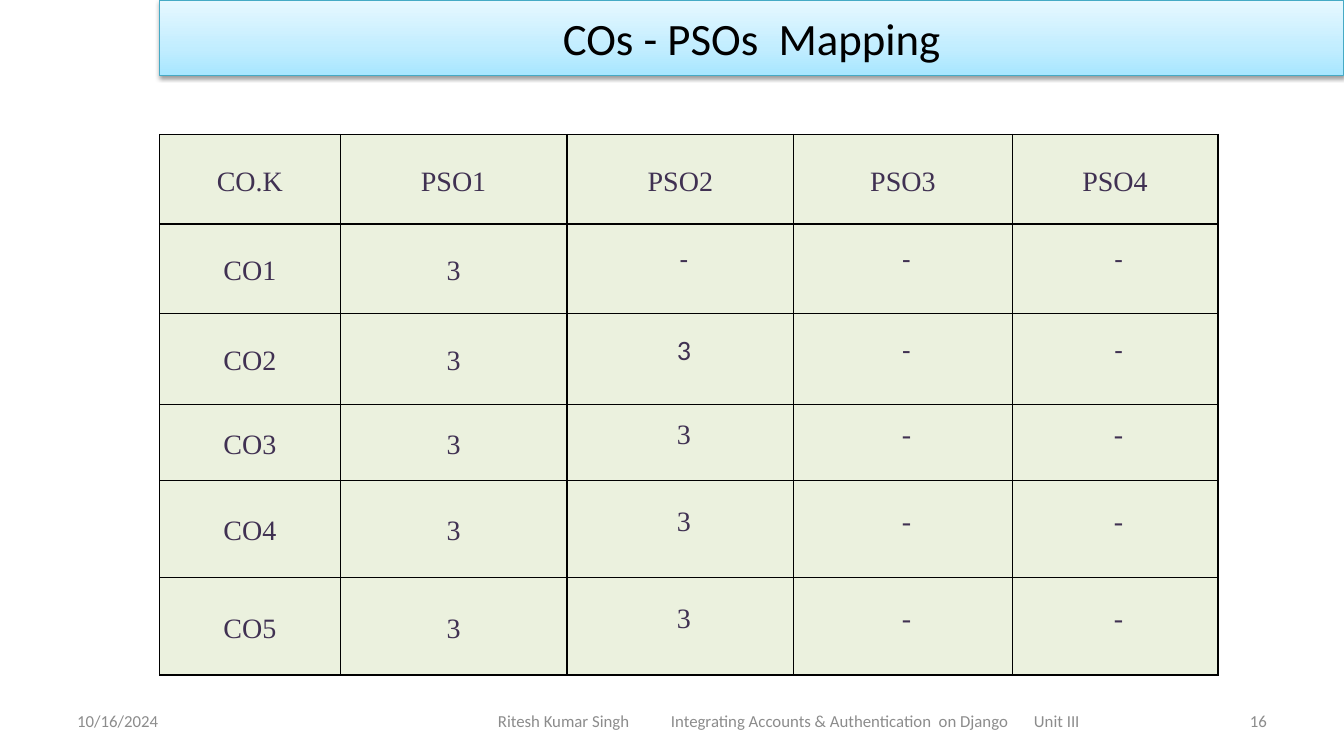
from pptx import Presentation
from pptx.dml.color import RGBColor
from pptx.enum.shapes import MSO_SHAPE as Shape
from pptx.enum.text import MSO_ANCHOR as Anchor, PP_ALIGN as Align
from pptx.oxml import parse_xml
from pptx.oxml.ns import nsdecls
from pptx.util import Pt

BLACK = RGBColor(0x00, 0x00, 0x00)
GREY = RGBColor(0x8C, 0x8C, 0x8C)
PLUM = RGBColor(0x40, 0x31, 0x52)
SAGE = RGBColor(0xEB, 0xF1, 0xDE)
TEAL = RGBColor(0x46, 0xAA, 0xC5)
SKY = ((0, RGBColor(0xA7, 0xE6, 0xFF)),
       (35, RGBColor(0xC1, 0xED, 0xFF)),
       (100, RGBColor(0xE7, 0xF8, 0xFF)))
SANS = "Calibri"
SERIF = "Times New Roman"
NS = nsdecls("a")


class Page:
    def __init__(self, deck):
        self.slide = deck.slides.add_slide(deck.slide_layouts[6])
        self.edge = 1
        self.pad = 5
        self.size = 20

    def add_run(self, para, text, font, size, color):
        run = para.add_run()
        run.text = text
        run.font.name = font
        run.font.size = Pt(size)
        run.font.color.rgb = color

    def note(self, box, text, align, inset=7.2, tabs=()):
        frame = self.slide.shapes.add_textbox(*map(Pt, box)).text_frame
        frame.word_wrap = True
        frame.vertical_anchor = Anchor.MIDDLE
        frame.margin_left = Pt(inset)
        para = frame.paragraphs[0]
        para.alignment = align
        if tabs:
            stops = "".join(f'<a:tab pos="{Pt(tab)}" algn="l"/>' for tab in tabs)
            para._p.get_or_add_pPr().append(
                parse_xml(f"<a:tabLst {NS}>{stops}</a:tabLst>"))
        self.add_run(para, text, SANS, 12, GREY)

    def banner(self, box, text):
        shape = self.slide.shapes.add_shape(Shape.RECTANGLE, *map(Pt, box))
        shape.line.color.rgb = TEAL
        shape.line.width = Pt(0.75)
        stops = "".join(
            f'<a:gs pos="{place * 1000}"><a:srgbClr val="{color}"/></a:gs>'
            for place, color in SKY)
        line = shape.line._ln
        line.addprevious(parse_xml(
            f'<a:gradFill {NS} rotWithShape="1"><a:gsLst>{stops}</a:gsLst>'
            '<a:lin ang="16200000" scaled="0"/></a:gradFill>'))
        line.addnext(parse_xml(
            f'<a:effectLst {NS}><a:outerShdw blurRad="{Pt(3.1)}" '
            f'dist="{Pt(1.6)}" dir="5400000" rotWithShape="0">'
            f'<a:srgbClr val="{BLACK}"><a:alpha val="38000"/></a:srgbClr>'
            '</a:outerShdw></a:effectLst>'))
        frame = shape.text_frame
        frame.word_wrap = True
        frame.vertical_anchor = Anchor.MIDDLE
        para = frame.paragraphs[0]
        para.alignment = Align.CENTER
        self.add_run(para, text, SANS, 32, BLACK)

    def cell(self, cell, text, font, tight):
        cell.vertical_anchor = Anchor.MIDDLE
        cell.margin_left = cell.margin_right = Pt(self.pad)
        cell.margin_top = cell.margin_bottom = 0
        props = cell._tc.get_or_add_tcPr()
        for side in "LRTB":
            props.append(parse_xml(
                f'<a:ln{side} {NS} w="{Pt(self.edge)}"><a:solidFill>'
                f'<a:srgbClr val="{BLACK}"/></a:solidFill></a:ln{side}>'))
        cell.fill.solid()
        cell.fill.fore_color.rgb = SAGE
        para = cell.text_frame.paragraphs[0]
        para.alignment = Align.CENTER
        para.line_spacing = Pt(12.3) if tight else 1.15
        if tight:
            para._p.get_or_add_pPr().set("marL", str(Pt(self.pad)))
        self.add_run(para, text, font, self.size, PLUM)

    def table(self, left, top, wides, highs, data):
        grid = self.slide.shapes.add_table(
            len(highs), len(wides), Pt(left), Pt(top),
            Pt(sum(wides)), Pt(sum(highs))).table
        grid.first_row = grid.horz_banding = False
        for col, wide in zip(grid.columns, wides):
            col.width = Pt(wide)
        for r, (high, texts) in enumerate(zip(highs, data)):
            grid.rows[r].height = Pt(high)
            for c, text in enumerate(texts):
                tight = r > 0 and c > 1
                font = SANS if tight and r < 3 else SERIF
                self.cell(grid.cell(r, c), text, font, tight)


def main():
    deck = Presentation()
    deck.slide_width, deck.slide_height = Pt(960), Pt(540)
    page = Page(deck)
    foot, tall = 500.4, 28.8
    page.note((48, foot, 224, tall), "10/16/2024", Align.LEFT)
    page.note((318.2, foot, 491.8, tall),
              "Ritesh Kumar Singh\tIntegrating Accounts & Authentication  on Django\tUnit III",
              Align.LEFT, 37.5, (123.6, 382.9))
    page.note((688, foot, 224, tall), "16", Align.RIGHT)
    page.banner((114, 0, 846, 54), "COs - PSOs  Mapping")
    data = [["CO.K"] + [f"PSO{n}" for n in range(1, 5)]]
    data += [[f"CO{n}", "3", "-" if n == 1 else "3", "-", "-"]
             for n in range(1, 6)]
    page.table(114, 96, (129, 162, 162, 156, 147),
               (64, 64, 65, 54, 69.6, 69.6), data)
    deck.save("out.pptx")


if __name__ == "__main__":
    main()
